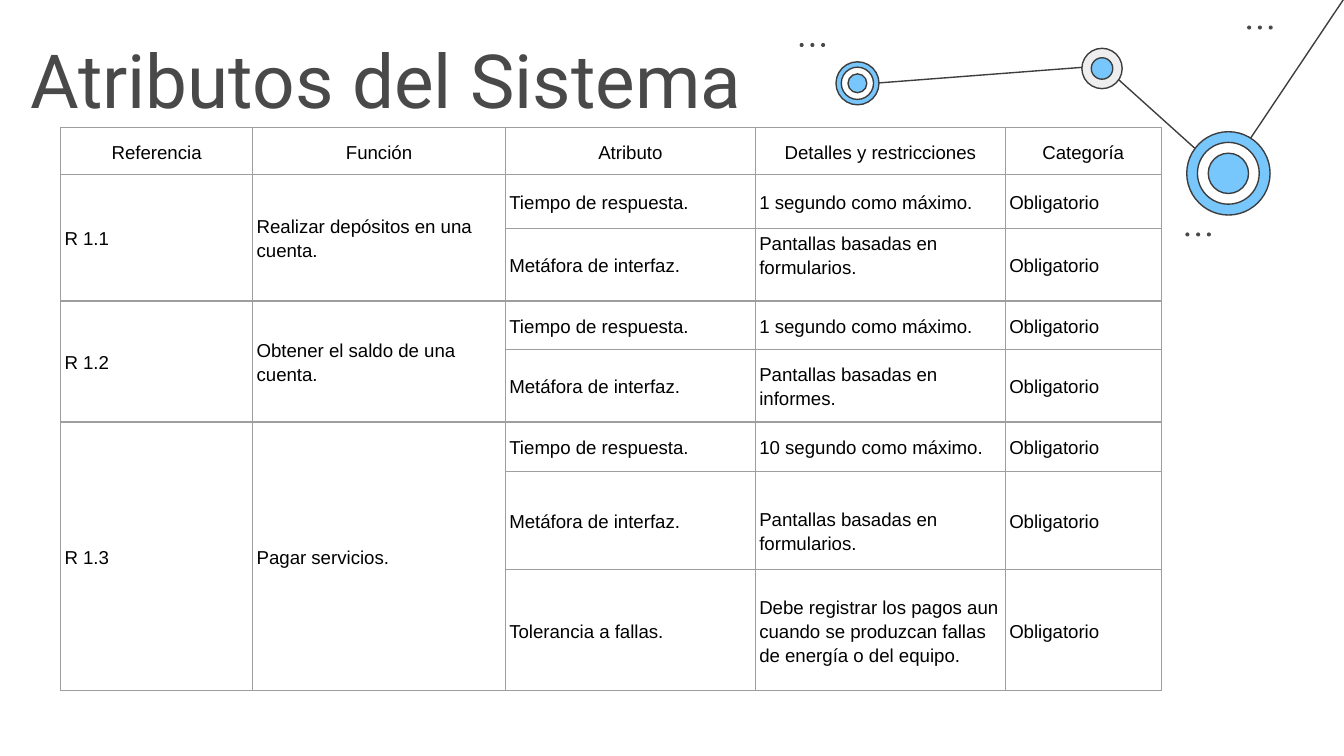
import pptx
import pptx.util
import pptx.dml.color
import pptx.enum.shapes
import pptx.enum.text
import pptx.oxml.ns
from lxml import etree
from dataclasses import dataclass

Inches, Pt = pptx.util.Inches, pptx.util.Pt
ALIGN, ANCHOR = pptx.enum.text.PP_ALIGN, pptx.enum.text.MSO_ANCHOR


@dataclass(frozen=True)
class Theme:
    ink: str = "3D3D3D"
    title: str = "494949"
    body: str = "000000"
    grid: str = "9E9E9E"
    blue: str = "77C6FC"
    white: str = "FFFFFF"
    gray: str = "EEEEEE"
    title_font: str = "Roboto"
    body_font: str = "Arial"
    title_size: int = 40
    body_size: int = 10
    stroke: float = 0.75
    spacing: float = 1.15


THEME = Theme()

# Content
TITLE = "Atributos del Sistema"
HEADINGS = ["Referencia", "Función", "Atributo", "Detalles y restricciones", "Categoría"]
TIME, METAPHOR, REQUIRED = "Tiempo de respuesta.", "Metáfora de interfaz.", "Obligatorio"
REQUIREMENTS = [
    ("R 1.1", "Realizar depósitos en una cuenta.", [
        (TIME, "1 segundo como máximo.", REQUIRED),
        (METAPHOR, "Pantallas basadas en formularios.", REQUIRED)]),
    ("R 1.2", "Obtener el saldo de una cuenta.", [
        (TIME, "1 segundo como máximo.", REQUIRED),
        (METAPHOR, "Pantallas basadas en informes.", REQUIRED)]),
    ("R 1.3", "Pagar servicios.", [
        (TIME, "10 segundo como máximo.", REQUIRED),
        (METAPHOR, "Pantallas basadas en formularios.", REQUIRED),
        ("Tolerancia a fallas.", "Debe registrar los pagos aun cuando se produzcan "
         "fallas de energía o del equipo.", REQUIRED)]),
]

# Layout, in inches
SLIDE_WIDTH = 10
SLIDE_HEIGHT = SLIDE_WIDTH * 9 / 16
COLUMN_WIDTHS = [1.43, 1.88, 1.86, 1.86, 1.16]
ROW_HEIGHTS = [0.35, 0.4, 0.54, 0.36, 0.54, 0.37, 0.73, 0.9]
CELL_OFFSET = 0.15
EXTRA_BOTTOM, EXTRA_TOP = {(2, 3)}, {(6, 3)}  # cells whose text is moved up or down
LINKS = [((8.2, 0.49), (6.37, 0.63)), ((9.12, 1.31), (8.22, 0.5)), ((10, -0.01), (9.13, 1.29))]
NODES = [  # centre, then (radius, fill) from the outside in
    ((9.14, 1.29), [(0.31, THEME.blue), (0.23, THEME.white), (0.15, THEME.blue)]),
    ((8.2, 0.51), [(0.15, THEME.gray), (0.08, THEME.blue)]),
    ((6.38, 0.62), [(0.16, THEME.blue), (0.12, THEME.white), (0.07, THEME.blue)]),
]
DOT_ROWS = [(5.95, 0.32), (9.28, 0.19), (8.82, 1.73)]
DOT_SIZE, DOT_STEP = 0.03, 0.08


def rgb(value):
    return pptx.dml.color.RGBColor.from_string(value)


def style(paragraph, font, size, color, align):
    paragraph.alignment = align
    paragraph.font.name = font
    paragraph.font.size = Pt(size)
    paragraph.font.color.rgb = rgb(color)


def add_disc(slide, left, top, size, fill, outline=None):
    disc = slide.shapes.add_shape(pptx.enum.shapes.MSO_SHAPE.OVAL,
                                  *map(Inches, (left, top, size, size)))
    disc.shadow.inherit = False
    disc.fill.solid()
    disc.fill.fore_color.rgb = rgb(fill)
    if outline:
        disc.line.color.rgb = rgb(outline)
        disc.line.width = Pt(THEME.stroke)
    else:
        disc.line.fill.background()


def add_link(slide, start, end):
    link = slide.shapes.add_connector(pptx.enum.shapes.MSO_CONNECTOR.STRAIGHT,
                                      *map(Inches, start + end))
    link.line.color.rgb = rgb(THEME.ink)
    link.line.width = Pt(THEME.stroke)
    etree.SubElement(link._element.spPr, pptx.oxml.ns.qn("a:effectLst"))


def add_borders(cell):
    properties = cell._tc.get_or_add_tcPr()
    for index, side in enumerate(("lnL", "lnR", "lnT", "lnB")):
        border = etree.Element(pptx.oxml.ns.qn(f"a:{side}"), w=str(Pt(THEME.stroke)))
        fill = etree.SubElement(border, pptx.oxml.ns.qn("a:solidFill"))
        etree.SubElement(fill, pptx.oxml.ns.qn("a:srgbClr"), val=THEME.grid)
        properties.insert(index, border)


def fill_cell(cell, text, align=ALIGN.LEFT):
    cell.text = text
    paragraph = cell.text_frame.paragraphs[0]
    style(paragraph, THEME.body_font, THEME.body_size, THEME.body, align)
    paragraph.line_spacing = THEME.spacing


def add_requirements(slide):
    table = slide.shapes.add_table(
        len(ROW_HEIGHTS), len(COLUMN_WIDTHS), Inches(0.45), Inches(0.95),
        Inches(sum(COLUMN_WIDTHS)), Inches(sum(ROW_HEIGHTS))).table
    table.first_row = table.horz_banding = False
    for column, width in zip(table.columns, COLUMN_WIDTHS):
        column.width = Inches(width)
    for r, height in enumerate(ROW_HEIGHTS):
        table.rows[r].height = Inches(height)
        for c in range(len(COLUMN_WIDTHS)):
            cell = table.cell(r, c)
            cell.fill.background()
            add_borders(cell)
            cell.vertical_anchor = ANCHOR.MIDDLE
            cell.margin_left = cell.margin_right = Inches(0.03)
            cell.margin_top = Inches(CELL_OFFSET if (r, c) in EXTRA_TOP else 0)
            cell.margin_bottom = Inches(CELL_OFFSET if (r, c) in EXTRA_BOTTOM else 0)
            fill_cell(cell, "")

    for c, heading in enumerate(HEADINGS):
        fill_cell(table.cell(0, c), heading, ALIGN.CENTER)
    first = 1
    for reference, function, attributes in REQUIREMENTS:
        last = first + len(attributes) - 1
        for c, text in enumerate((reference, function)):
            table.cell(first, c).merge(table.cell(last, c))
            fill_cell(table.cell(first, c), text)
        for r, attribute in enumerate(attributes, first):
            for c, text in enumerate(attribute, 2):
                fill_cell(table.cell(r, c), text)
        first = last + 1


def main():
    deck = pptx.Presentation()
    deck.slide_width, deck.slide_height = Inches(SLIDE_WIDTH), Inches(SLIDE_HEIGHT)
    slide = deck.slides.add_slide(deck.slide_layouts[6])

    # Network decoration
    for start, end in LINKS:
        add_link(slide, start, end)
    for (x, y), rings in NODES:
        for radius, fill in rings:
            add_disc(slide, x - radius, y - radius, 2 * radius, fill, THEME.ink)
    for left, top in DOT_ROWS:
        for i in range(3):
            add_disc(slide, left + i * DOT_STEP, top, DOT_SIZE, THEME.title)

    # Title
    heading = slide.shapes.add_textbox(*map(Inches, (-0.77, 0.15, 7.28, 0.65))).text_frame
    heading.word_wrap = True
    heading.vertical_anchor = ANCHOR.TOP
    heading.margin_top = heading.margin_bottom = Inches(0.1)
    heading.text = TITLE
    style(heading.paragraphs[0], THEME.title_font, THEME.title_size, THEME.title, ALIGN.CENTER)

    add_requirements(slide)
    deck.save("out.pptx")


if __name__ == "__main__":
    main()
